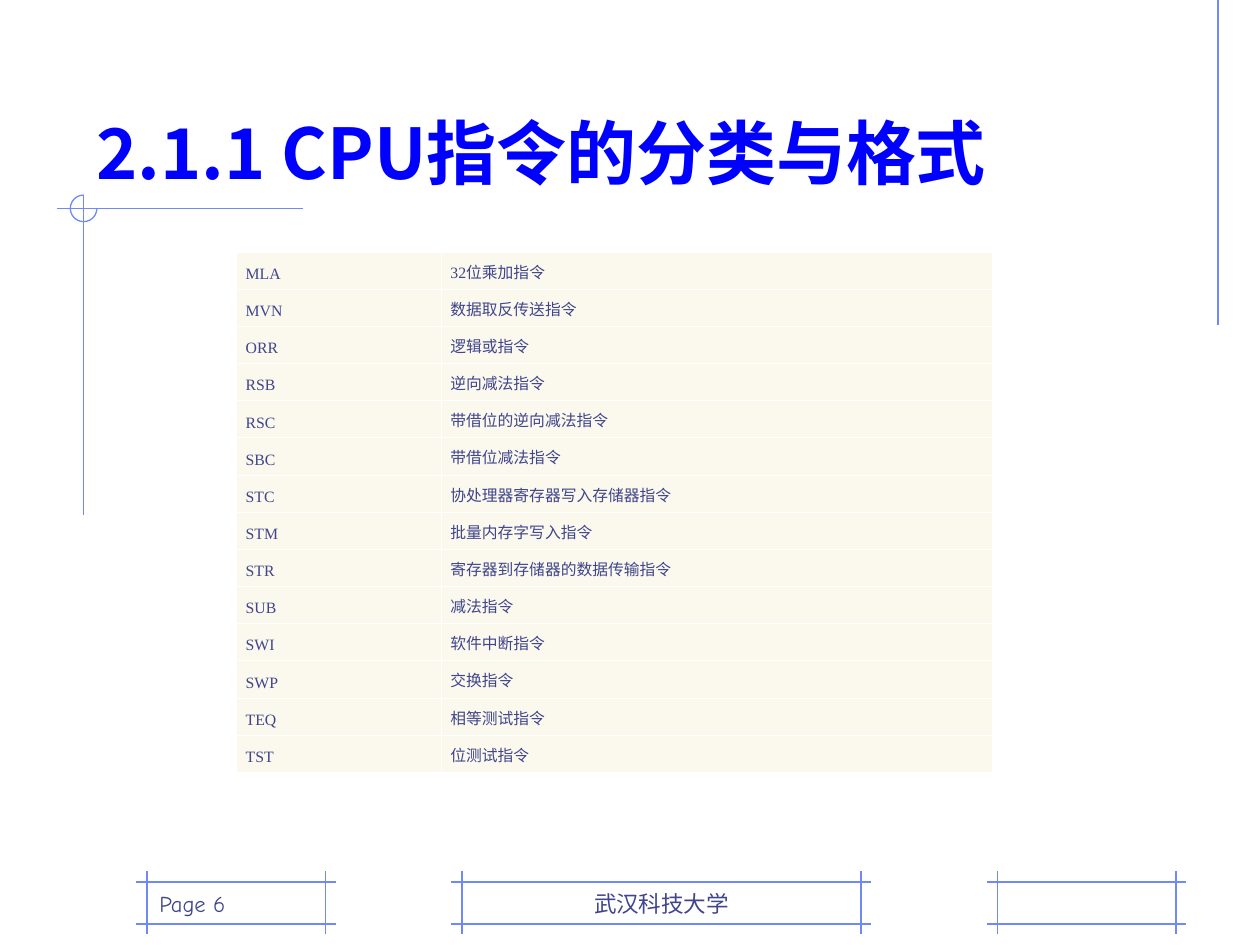
"""Build the slide that lists CPU instructions in a two-column table."""
from dataclasses import dataclass

from lxml import etree
from pptx import Presentation
from pptx.dml.color import RGBColor
from pptx.enum import shapes, text
from pptx.oxml import ns
from pptx.util import Pt


@dataclass(frozen=True)
class Theme:
    rule: str = "6F89F7"
    title: str = "0000FF"
    body: str = "40458C"
    cell: str = "FBF8ED"
    border: str = "FFFFFF"
    title_font: str = "Noto Sans CJK JP"
    footer_font: str = "Comic Neue"
    table_font: str = "Times New Roman"
    title_size: float = 40
    footer_size: float = 12.9
    table_size: float = 9
    rule_width: float = 0.75
    border_width: float = 0.45


THEME = Theme()

INSTRUCTIONS = [
    ("MLA", "32位乘加指令"),
    ("MVN", "数据取反传送指令"),
    ("ORR", "逻辑或指令"),
    ("RSB", "逆向减法指令"),
    ("RSC", "带借位的逆向减法指令"),
    ("SBC", "带借位减法指令"),
    ("STC", "协处理器寄存器写入存储器指令"),
    ("STM", "批量内存字写入指令"),
    ("STR", "寄存器到存储器的数据传输指令"),
    ("SUB", "减法指令"),
    ("SWI", "软件中断指令"),
    ("SWP", "交换指令"),
    ("TEQ", "相等测试指令"),
    ("TST", "位测试指令"),
]

FOOTER_TOP, FOOTER_BOTTOM, OVERHANG = 504, 528, 6


def add_run(p, words, font, size, color, bold=False):
    r = p.add_run()
    r.text = words
    r.font.name = font
    r.font.size = Pt(size)
    r.font.bold = bold
    r.font.color.rgb = RGBColor.from_string(color)
    ea = etree.SubElement(r.font._element, ns.qn("a:ea"))
    ea.set("typeface", THEME.title_font)


def style_rule(line):
    line.color.rgb = RGBColor.from_string(THEME.rule)
    line.width = Pt(THEME.rule_width)


def add_rule(s, x1, y1, x2, y2):
    c = s.shapes.add_connector(
        shapes.MSO_CONNECTOR.STRAIGHT, Pt(x1), Pt(y1), Pt(x2), Pt(y2))
    style_rule(c.line)
    etree.SubElement(c._element.spPr, ns.qn("a:effectLst"))


def add_footer_frame(s, left, right):
    for y in (FOOTER_TOP, FOOTER_BOTTOM):
        add_rule(s, left - OVERHANG, y, right + OVERHANG, y)
    for x in (left, right):
        add_rule(s, x, FOOTER_TOP - OVERHANG, x, FOOTER_BOTTOM + OVERHANG)


def add_footer_text(s, left, right, words, align):
    sp = s.shapes.add_textbox(
        Pt(left), Pt(FOOTER_TOP), Pt(right - left), Pt(FOOTER_BOTTOM - FOOTER_TOP))
    tf = sp.text_frame
    tf.word_wrap = True
    tf.vertical_anchor = text.MSO_ANCHOR.BOTTOM
    p = tf.paragraphs[0]
    p.alignment = align
    p.line_spacing = 0.9
    add_run(p, words, THEME.footer_font, THEME.footer_size, THEME.body)


def add_corner_mark(s):
    add_rule(s, 32.5, 119.3, 173, 119.3)
    add_rule(s, 47.7, 111.5, 47.7, 294.5)
    sp = s.shapes.add_shape(
        shapes.MSO_SHAPE.ARC, Pt(40.2), Pt(111.5), Pt(15.2), Pt(15.2))
    sp.shadow.inherit = False
    sp.adjustments[0] = 0
    sp.adjustments[1] = 270 * 60000 / 100000
    sp.fill.background()
    style_rule(sp.line)


def set_title(s, words):
    sp = s.shapes.title
    sp.left, sp.top, sp.width, sp.height = Pt(48), Pt(24), Pt(612), Pt(90)
    tf = sp.text_frame
    tf.auto_size = text.MSO_AUTO_SIZE.NONE
    tf.word_wrap = True
    tf.vertical_anchor = text.MSO_ANCHOR.BOTTOM
    p = tf.paragraphs[0]
    p.alignment = text.PP_ALIGN.LEFT
    p.space_before = Pt(0)
    add_run(p, words, THEME.title_font, THEME.title_size, THEME.title, bold=True)


def set_borders(cell):
    tc_pr = cell._tc.get_or_add_tcPr()
    for side in ("lnL", "lnR", "lnT", "lnB"):
        ln = etree.SubElement(
            tc_pr, ns.qn(f"a:{side}"), w=str(int(Pt(THEME.border_width))))
        fill = etree.SubElement(ln, ns.qn("a:solidFill"))
        etree.SubElement(fill, ns.qn("a:srgbClr"), val=THEME.border)


def fill_cell(cell, words):
    set_borders(cell)
    cell.fill.solid()
    cell.fill.fore_color.rgb = RGBColor.from_string(THEME.cell)
    cell.margin_left = cell.margin_right = Pt(5.4)
    cell.margin_top = cell.margin_bottom = Pt(3.6)
    p = cell.text_frame.paragraphs[0]
    p.line_spacing = Pt(14)
    add_run(p, words, THEME.table_font, THEME.table_size, THEME.body)


def add_instruction_table(s):
    row_height = 14
    widths = (117, 315)
    table = s.shapes.add_table(
        len(INSTRUCTIONS), len(widths), Pt(135), Pt(144),
        Pt(sum(widths)), Pt(row_height * len(INSTRUCTIONS))).table
    table.first_row = table.horz_banding = False
    for column, width in zip(table.columns, widths):
        column.width = Pt(width)
    for row, entry in zip(table.rows, INSTRUCTIONS):
        row.height = Pt(row_height)
        for cell, words in zip(row.cells, entry):
            fill_cell(cell, words)


def main():
    prs = Presentation()
    prs.slide_width, prs.slide_height = Pt(720), Pt(540)
    s = prs.slides.add_slide(prs.slide_layouts[5])
    page, school, spare = (84, 186), (264, 492), (570, 672)
    for frame in (school, spare, page):
        add_footer_frame(s, *frame)
    add_rule(s, 696, 0, 696, 186)
    add_corner_mark(s)
    add_footer_text(s, *school, "武汉科技大学", text.PP_ALIGN.CENTER)
    add_footer_text(s, *page, "Page 6", text.PP_ALIGN.LEFT)
    set_title(s, "2.1.1 CPU指令的分类与格式")
    add_instruction_table(s)
    prs.save("out.pptx")


if __name__ == "__main__":
    main()
